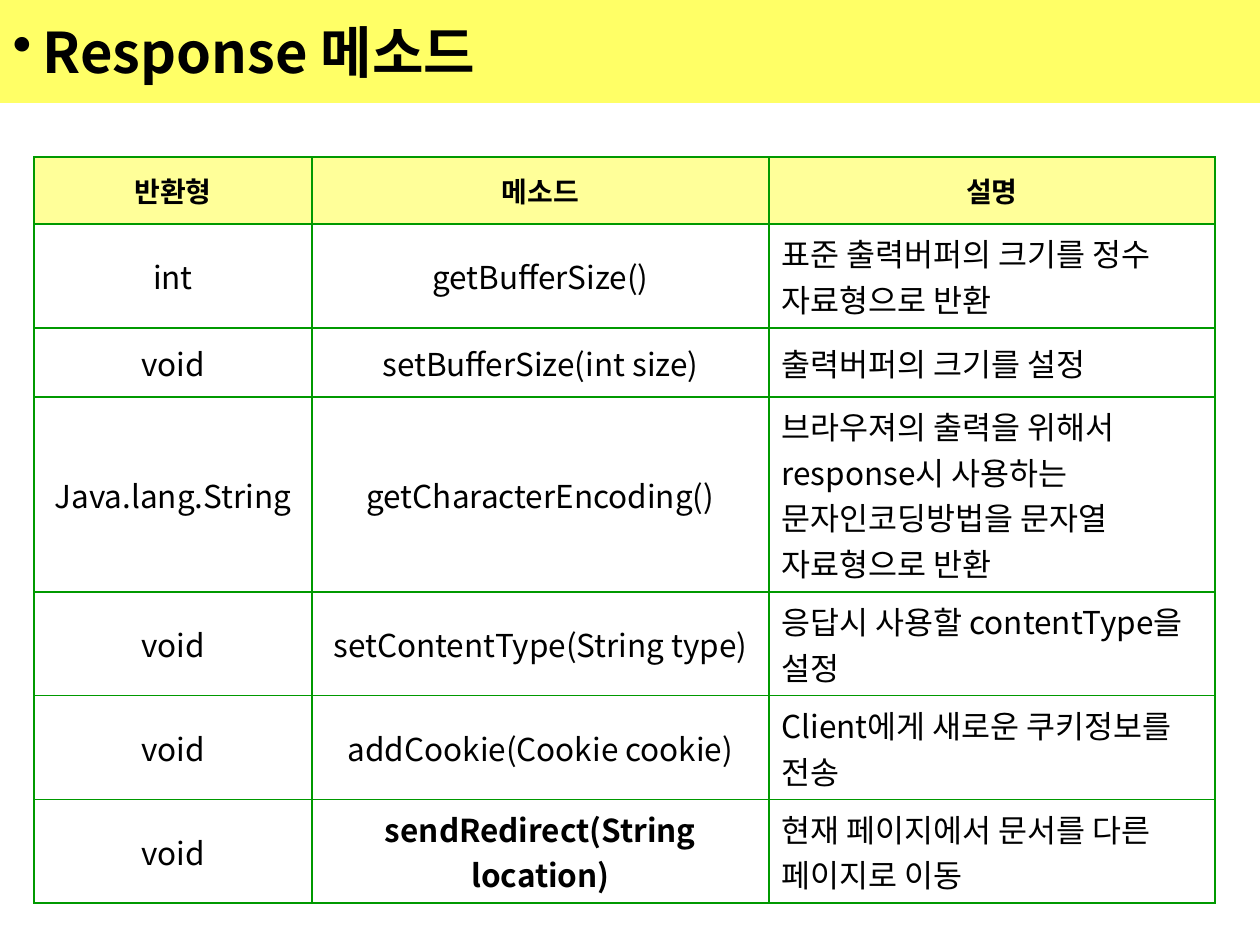
import pptx
import pptx.util
import pptx.dml.color
import pptx.enum.text
import pptx.oxml
import pptx.oxml.ns
from lxml import etree

RGB = pptx.dml.color.RGBColor
ALIGN = pptx.enum.text.PP_ALIGN
MIDDLE = pptx.enum.text.MSO_ANCHOR.MIDDLE
qn = pptx.oxml.ns.qn

# Content
TITLE = "Response 메소드"
HEADER = ("반환형", "메소드", "설명")
METHODS = [
    ("int", "getBufferSize()", "표준 출력버퍼의 크기를 정수 자료형으로 반환"),
    ("void", "setBufferSize(int size)", "출력버퍼의 크기를 설정"),
    ("Java.lang.String", "getCharacterEncoding()",
     "브라우져의 출력을 위해서 response시 사용하는 문자인코딩방법을 문자열 자료형으로 반환"),
    ("void", "setContentType(String type)", "응답시 사용할 contentType을 설정"),
    ("void", "addCookie(Cookie cookie)", "Client에게 새로운 쿠키정보를 전송"),
    ("void", "sendRedirect(String location)", "현재 페이지에서 문서를 다른 페이지로 이동"),
]
BOLD_METHOD = "sendRedirect(String location)"

# Format, lengths in px
PX = 914400 // 126
FONT = "Noto Sans CJK KR"
BLACK = RGB(0, 0, 0)
TITLE_FILL = RGB(0xFF, 0xFF, 0x66)
HEADER_FILL = RGB(0xFF, 0xFF, 0x99)
BORDER = RGB(0, 0x99, 0)
SLIDE_W, SLIDE_H, TITLE_H = 1260, 945, 103
TABLE_LEFT, TABLE_TOP = 34, 157
COLUMNS = (278, 457, 446)
ROWS = (67, 100, 69, 179, 89, 88, 89)
BULLET_INDENT = 30


def px(n):
    return pptx.util.Emu(n * PX)


def write(tf, text, size, bold=False, align=ALIGN.LEFT):
    p = tf.paragraphs[0]
    p.alignment = align
    r = p.add_run()
    r.text = text
    r.font.size = pptx.util.Pt(size)
    r.font.bold = bold
    r.font.color.rgb = BLACK
    r.font.name = FONT
    latin = r.font._element.find(qn("a:latin"))
    ea = etree.Element(qn("a:ea"), typeface=FONT)
    latin.addnext(ea)
    return p


def add_bullet(p, indent):
    pPr = p._p.get_or_add_pPr()
    pPr.set("marL", str(px(indent)))
    pPr.set("indent", str(-px(indent)))
    color = etree.SubElement(pPr, qn("a:buClr"))
    etree.SubElement(color, qn("a:srgbClr"), val=str(BLACK))
    etree.SubElement(pPr, qn("a:buChar"), char="•")


def add_borders(cell, color, width):
    tcPr = cell._tc.get_or_add_tcPr()
    for side in ("a:lnL", "a:lnR", "a:lnT", "a:lnB"):
        ln = etree.SubElement(tcPr, qn(side), w=str(pptx.util.Pt(width)))
        fill = etree.SubElement(ln, qn("a:solidFill"))
        etree.SubElement(fill, qn("a:srgbClr"), val=str(color))


def add_title(s):
    sp = s.shapes.title
    sp.left, sp.top, sp.width, sp.height = px(0), px(0), px(SLIDE_W), px(TITLE_H)
    sp.fill.solid()
    sp.fill.fore_color.rgb = TITLE_FILL
    tf = sp.text_frame
    tf.auto_size = pptx.enum.text.MSO_AUTO_SIZE.NONE
    tf.vertical_anchor = MIDDLE
    add_bullet(write(tf, TITLE, 32, bold=True), BULLET_INDENT)


def add_method_table(s):
    table = s.shapes.add_table(
        len(ROWS), len(COLUMNS), px(TABLE_LEFT), px(TABLE_TOP),
        px(sum(COLUMNS)), px(sum(ROWS))).table
    table.horz_banding = False
    table.first_row = False
    for column, width in zip(table.columns, COLUMNS):
        column.width = px(width)
    for row, height in zip(table.rows, ROWS):
        row.height = px(height)

    for i, texts in enumerate([HEADER] + METHODS):
        header = i == 0
        for j, text in enumerate(texts):
            cell = table.cell(i, j)
            cell.vertical_anchor = MIDDLE
            add_borders(cell, BORDER, 1.08)
            if header:
                cell.fill.solid()
                cell.fill.fore_color.rgb = HEADER_FILL
            else:
                cell.fill.background()
            write(cell.text_frame, text, 16 if header else 18,
                  bold=header or text == BOLD_METHOD,
                  align=ALIGN.CENTER if header or j < 2 else ALIGN.LEFT)


def main():
    prs = pptx.Presentation()
    prs.slide_width, prs.slide_height = px(SLIDE_W), px(SLIDE_H)
    s = prs.slides.add_slide(prs.slide_layouts[5])
    add_title(s)
    add_method_table(s)
    prs.save("out.pptx")


if __name__ == "__main__":
    main()
